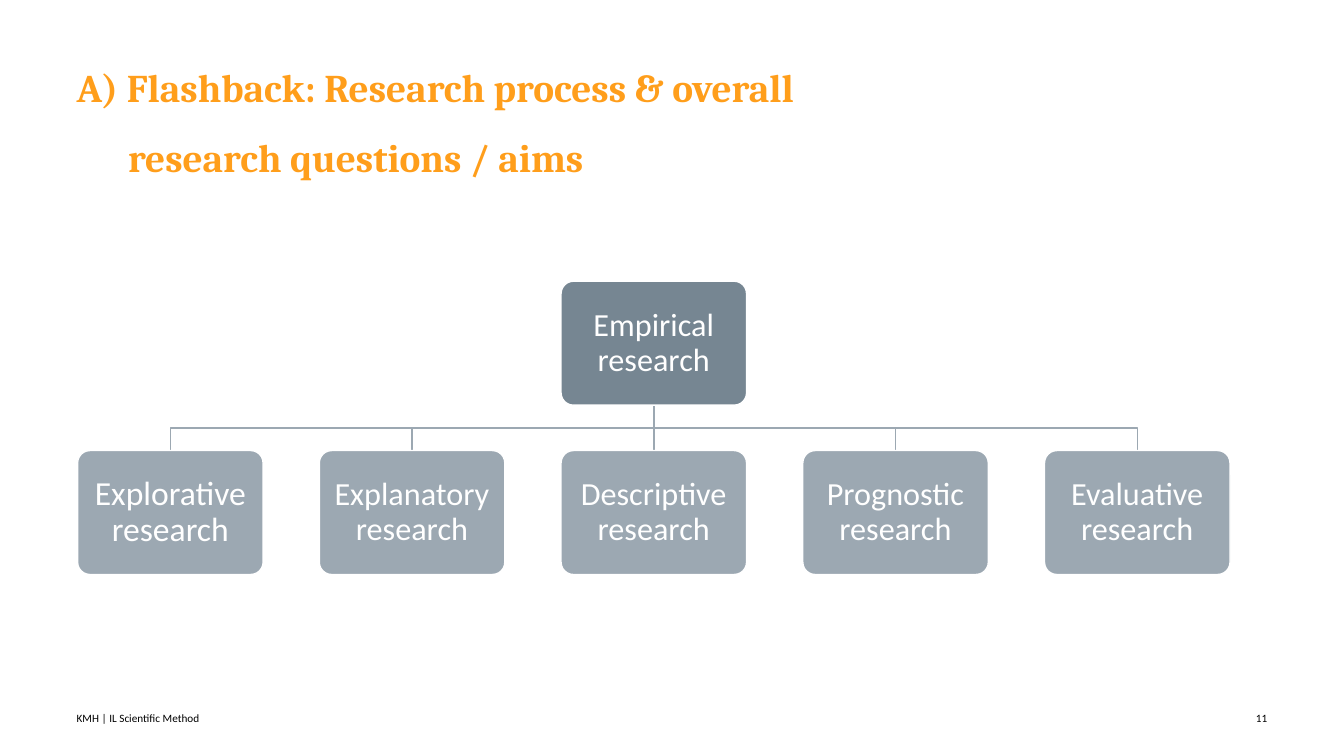
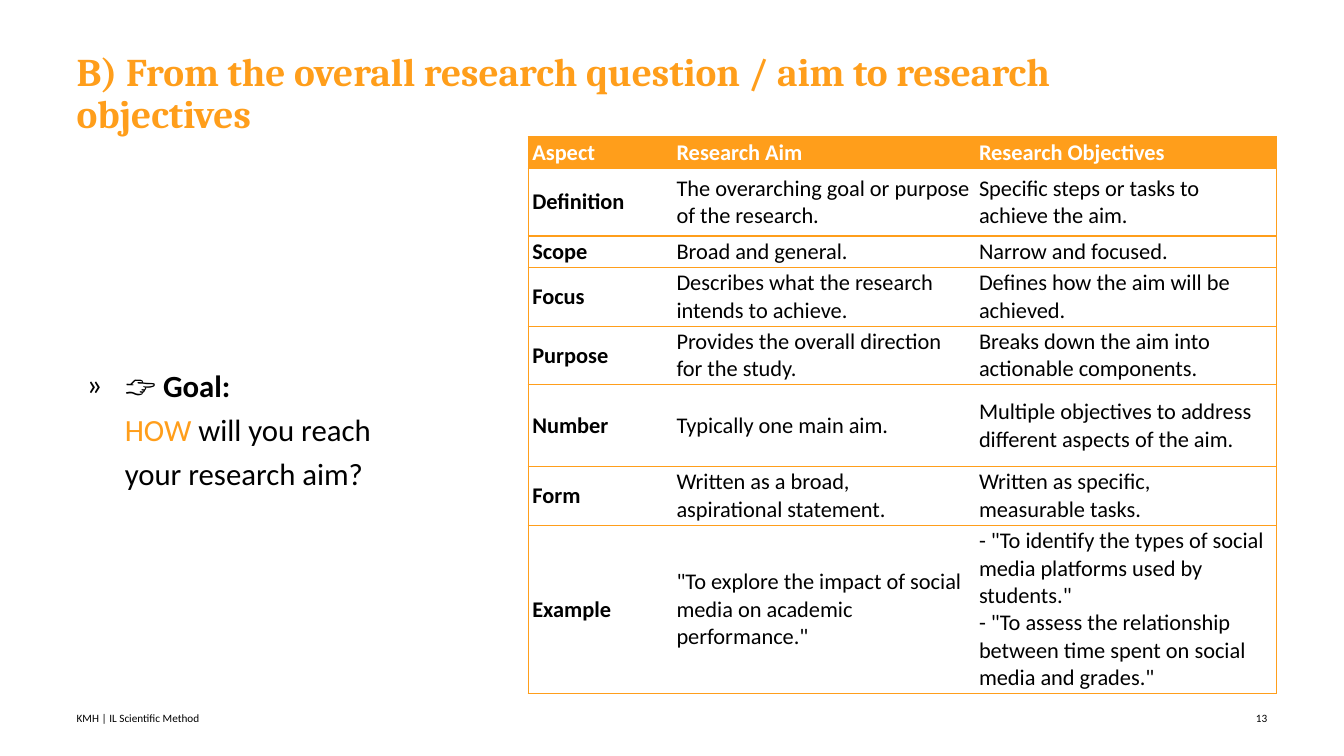
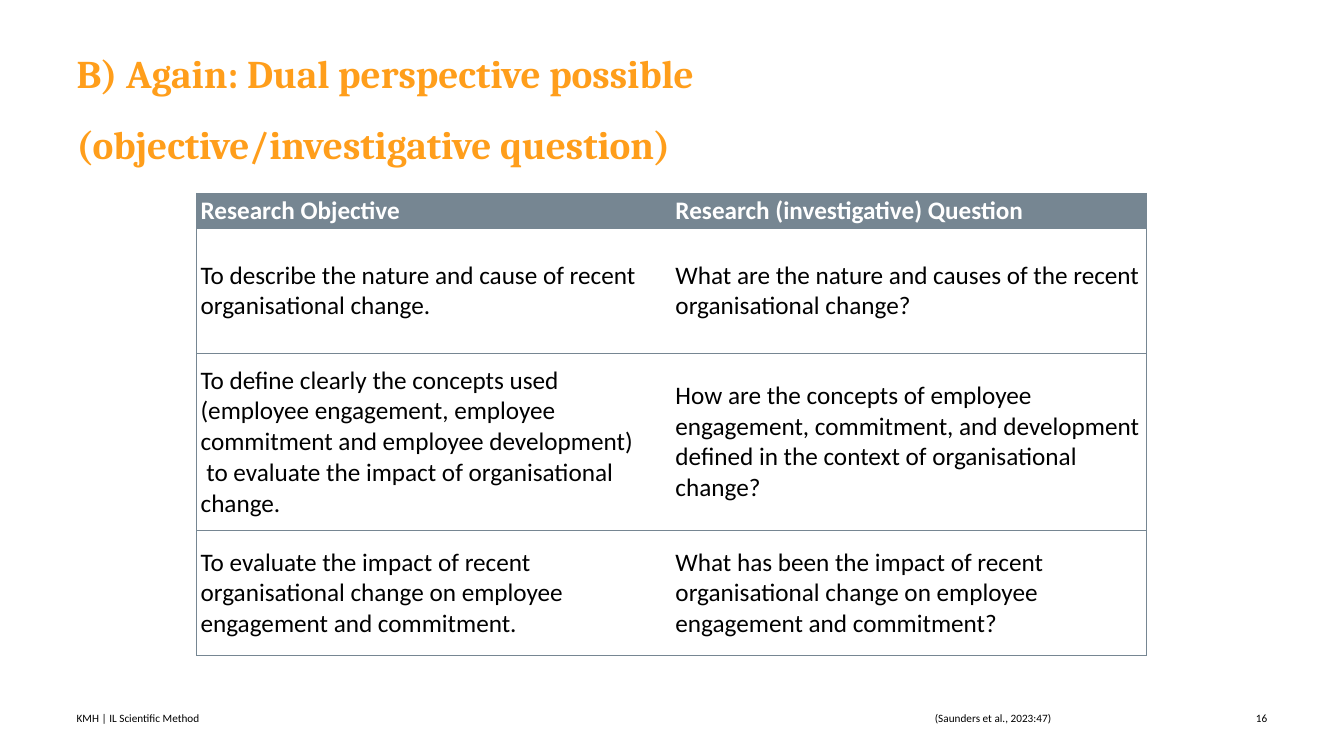
import copy
import dataclasses

import lxml.etree
import pptx
import pptx.dml.color
import pptx.enum.shapes
import pptx.enum.text
import pptx.oxml.ns
import pptx.util

Inches = pptx.util.Inches
Pt = pptx.util.Pt
Color = pptx.dml.color.RGBColor
Align = pptx.enum.text.PP_ALIGN
Anchor = pptx.enum.text.MSO_ANCHOR
qualified = pptx.oxml.ns.qn


@dataclasses.dataclass(frozen=True)
class Theme:
    orange: Color = Color(0xFF, 0x9E, 0x1B)
    slate: Color = Color(0x76, 0x86, 0x92)
    mist: Color = Color(0x9C, 0xA8, 0xB2)
    black: Color = Color(0, 0, 0)
    white: Color = Color(0xFF, 0xFF, 0xFF)
    title_font: str = "Cambria"
    body_font: str = "Calibri"
    title_size: float = 28
    goal_size: float = 22
    node_size: float = 23
    large_node_size: float = 24
    aspect_size: float = 16
    question_size: float = 18
    footer_size: float = 8
    line_width: float = 1


@dataclasses.dataclass(frozen=True)
class Box:
    left: float
    top: float
    width: float
    height: float

    def lengths(self):
        return [Inches(value) for value in dataclasses.astuple(self)]


THEME = Theme()


def write(paragraph, text, size, color, bold=False, font=THEME.body_font):
    for index, line in enumerate(text.split("\n")):
        if index:
            paragraph.add_line_break()
            line_break = paragraph._p[-1]
        if not line:
            continue
        run = paragraph.add_run()
        run.text = line
        run.font.name = font
        run.font.size = Pt(size)
        run.font.bold = bold
        run.font.color.rgb = color
        if index:
            line_break.append(copy.deepcopy(run._r.rPr))


def set_up_frame(frame, anchor, horizontal=0, vertical=0):
    frame.word_wrap = True
    frame.auto_size = pptx.enum.text.MSO_AUTO_SIZE.NONE
    frame.vertical_anchor = anchor
    frame.margin_left = frame.margin_right = Inches(horizontal)
    frame.margin_top = frame.margin_bottom = Inches(vertical)


def hang(paragraph, indent):
    properties = paragraph._p.get_or_add_pPr()
    properties.set("marL", str(Inches(indent)))
    properties.set("indent", str(-Inches(indent)))
    return properties


def add_title(slide, box, text, line_spacing, indent=0):
    title = slide.shapes.title
    title.left, title.top, title.width, title.height = box.lengths()
    set_up_frame(title.text_frame, Anchor.TOP)
    paragraph = title.text_frame.paragraphs[0]
    hang(paragraph, indent)
    paragraph.alignment = Align.LEFT
    paragraph.line_spacing = line_spacing
    write(paragraph, text, THEME.title_size, THEME.orange, True, THEME.title_font)


def add_footer(slide, number, citation=None):
    parts = [
        (0.76, 5.59, "KMH | IL Scientific Method", Align.LEFT),
        (12.02, 0.55, str(number), Align.RIGHT),
    ]
    if citation:
        parts.append((7.84, 4.02, citation, Align.CENTER))
    for left, width, text, alignment in parts:
        footer = slide.shapes.add_textbox(*Box(left, 7.04, width, 0.16).lengths())
        set_up_frame(footer.text_frame, Anchor.MIDDLE)
        paragraph = footer.text_frame.paragraphs[0]
        paragraph.alignment = alignment
        write(paragraph, text, THEME.footer_size, THEME.black)


def add_branch(slide, start, end):
    (start_x, start_y), (end_x, end_y) = [
        [Inches(value) for value in point] for point in (start, end)]
    if abs(start_x - end_x) < Inches(0.01):
        branch = slide.shapes.add_connector(
            pptx.enum.shapes.MSO_CONNECTOR.STRAIGHT, start_x, start_y, start_x, end_y)
        lxml.etree.SubElement(branch._element.spPr, qualified("a:effectLst"))
    else:
        middle = (start_y + end_y) // 2
        builder = slide.shapes.build_freeform(start_x, start_y)
        builder.add_line_segments(
            [(start_x, middle), (end_x, middle), (end_x, end_y)], close=False)
        branch = builder.convert_to_shape()
        branch.shadow.inherit = False
        branch.fill.background()
    branch.line.color.rgb = THEME.mist
    branch.line.width = Pt(THEME.line_width)


def add_node(slide, box, text, color, size):
    node = slide.shapes.add_shape(
        pptx.enum.shapes.MSO_SHAPE.ROUNDED_RECTANGLE, *box.lengths())
    node.adjustments[0] = 0.1
    node.shadow.inherit = False
    node.fill.solid()
    node.fill.fore_color.rgb = color
    node.line.color.rgb = THEME.white
    node.line.width = Pt(THEME.line_width)
    set_up_frame(node.text_frame, Anchor.MIDDLE, 0.1, 0.1)
    paragraph = node.text_frame.paragraphs[0]
    paragraph.alignment = Align.CENTER
    paragraph.line_spacing = 0.9
    write(paragraph, text, size, THEME.white)


def add_hierarchy(slide, box, root, children):
    width, height = 1.84, 1.23
    pitch = (box.width - width) / (len(children) - 1)
    center = box.left + box.width / 2
    child_top = box.top + box.height - height
    centers = [box.left + width / 2 + index * pitch for index in range(len(children))]

    for child_center in centers:
        add_branch(slide, (center, box.top + height), (child_center, child_top))
    add_node(slide, Box(center - width / 2, box.top, width, height),
             root, THEME.slate, THEME.node_size)
    for child_center, (text, size) in zip(centers, children):
        add_node(slide, Box(child_center - width / 2, child_top, width, height),
                 text, THEME.mist, size)


def set_borders(cell, color, visible_sides):
    properties = cell._tc.get_or_add_tcPr()
    for side in "LRTB":
        border = lxml.etree.SubElement(properties, qualified(f"a:ln{side}"))
        if side in visible_sides:
            border.set("w", str(Pt(THEME.line_width)))
            fill = lxml.etree.SubElement(border, qualified("a:solidFill"))
            lxml.etree.SubElement(fill, qualified("a:srgbClr")).set("val", str(color))
        else:
            border.set("w", "0")
            lxml.etree.SubElement(border, qualified("a:noFill"))


def add_grid(slide, box, rows, widths, heights, color, size, bold_first=False):
    table = slide.shapes.add_table(len(rows), len(widths), *box.lengths()).table
    table.horz_banding = False
    for column, width in zip(table.columns, widths):
        column.width = Inches(width)
    for row, height in zip(table.rows, heights):
        row.height = Inches(height)
    last = len(widths) - 1
    for row_index, texts in enumerate(rows):
        header = row_index == 0
        for column_index, text in enumerate(texts):
            cell = table.cell(row_index, column_index)
            sides = "TB" + "L" * (column_index == 0) + "R" * (column_index == last)
            set_borders(cell, color, sides)
            cell.fill.solid()
            cell.fill.fore_color.rgb = color if header else THEME.white
            cell.vertical_anchor = Anchor.BOTTOM if header else Anchor.MIDDLE
            cell.margin_left = cell.margin_right = Inches(0.04)
            cell.margin_top = cell.margin_bottom = Inches(0.02)
            bold = header or (bold_first and column_index == 0)
            write(cell.text_frame.paragraphs[0], text, size,
                  THEME.white if header else THEME.black, bold)


def add_goal(slide, box):
    goal = slide.shapes.add_textbox(*box.lengths())
    set_up_frame(goal.text_frame, Anchor.MIDDLE, 0.1, 0.05)
    paragraph = goal.text_frame.paragraphs[0]
    properties = hang(paragraph, 0.38)
    bullet_font = lxml.etree.SubElement(properties, qualified("a:buFont"))
    bullet_font.set("typeface", THEME.body_font)
    lxml.etree.SubElement(properties, qualified("a:buChar")).set("char", "»")
    paragraph.line_spacing = 1.2
    paragraph.space_after = Pt(6)
    write(paragraph, "👉 Goal: ", THEME.goal_size, THEME.black, True)
    write(paragraph, "\nHOW", THEME.goal_size, THEME.orange)
    write(paragraph, " will you reach your research aim?", THEME.goal_size, THEME.black)


def build_process_slide(slide):
    add_title(slide, Box(0.76, 0.39, 11.4, 0.87),
              "A) Flashback: Research process & overall \nresearch questions / aims",
              1.5, 0.51)
    children = [
        ("Explorative research", THEME.large_node_size),
        ("Explanatory research", THEME.node_size),
        ("Descriptive research", THEME.node_size),
        ("Prognostic research", THEME.node_size),
        ("Evaluative research", THEME.node_size),
    ]
    add_hierarchy(slide, Box(0.77, 2.79, 11.43, 2.91), "Empirical research", children)
    add_footer(slide, 11)


def build_objectives_slide(slide):
    add_title(slide, Box(0.76, 0.52, 9.76, 0.87),
              "B) From the overall research question / aim to research objectives", 0.9)
    add_goal(slide, Box(0.76, 1.7, 3.29, 5.04))
    rows = [
        ("Aspect", "Research Aim", "Research Objectives"),
        ("Definition", "The overarching goal or purpose of the research.",
         "Specific steps or tasks to achieve the aim."),
        ("Scope", "Broad and general.", "Narrow and focused."),
        ("Focus", "Describes what the research intends to achieve.",
         "Defines how the aim will be achieved."),
        ("Purpose", "Provides the overall direction for the study.",
         "Breaks down the aim into actionable components."),
        ("Number", "Typically one main aim.",
         "Multiple objectives to address different aspects of the aim."),
        ("Form", "Written as a broad, \naspirational statement.",
         "Written as specific, \nmeasurable tasks."),
        ("Example",
         '"To explore the impact of social media on academic performance."',
         '- "To identify the types of social media platforms used by students."\n'
         '- "To assess the relationship between time spent on social media and grades."'),
    ]
    add_grid(slide, Box(5.24, 1.36, 7.42, 5.46), rows, (1.43, 3, 2.99),
             (0.29, 0.67, 0.29, 0.55, 0.55, 0.81, 0.55, 1.43),
             THEME.orange, THEME.aspect_size, True)
    add_footer(slide, 13)


def build_perspective_slide(slide):
    add_title(slide, Box(0.76, 0.26, 8.38, 0.87),
              "B) Again: Dual perspective possible (objective/investigative question)", 1.5)
    rows = [
        ("Research Objective", "Research (investigative) Question"),
        ("To describe the nature and cause of recent organisational change.",
         "What are the nature and causes of the recent organisational change?"),
        ("To define clearly the concepts used (employee engagement, employee "
         "commitment and employee development)\n"
         " to evaluate the impact of organisational change.",
         "How are the concepts of employee engagement, commitment, and development "
         "defined in the context of organisational change?"),
        ("To evaluate the impact of recent organisational change on employee "
         "engagement and commitment.",
         "What has been the impact of recent organisational change on employee "
         "engagement and commitment?"),
    ]
    add_grid(slide, Box(1.95, 1.92, 9.42, 4.57), rows, (4.71, 4.71),
             (0.15, 1.24, 1.76, 1.24), THEME.slate, THEME.question_size)
    add_footer(slide, 16, "(Saunders et al., 2023:47)")


def main():
    presentation = pptx.Presentation()
    presentation.slide_width = Inches(13.33)
    presentation.slide_height = Inches(7.5)
    title_only = presentation.slide_layouts[5]
    for build in (build_process_slide, build_objectives_slide, build_perspective_slide):
        build(presentation.slides.add_slide(title_only))
    presentation.save("out.pptx")


if __name__ == "__main__":
    main()
